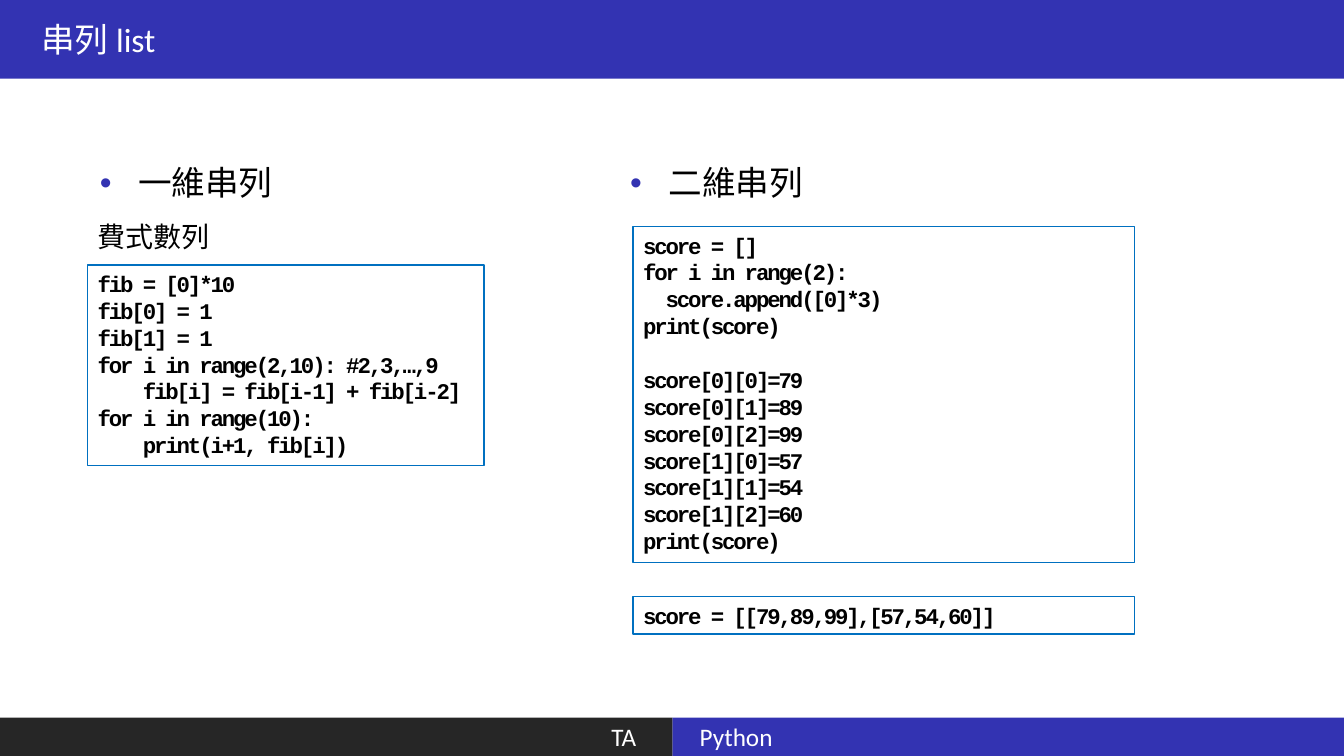
from lxml.etree import SubElement
from pptx import Presentation
from pptx.dml.color import RGBColor
from pptx.enum.shapes import MSO_SHAPE
from pptx.enum.text import MSO_ANCHOR, MSO_AUTO_SIZE, PP_ALIGN
from pptx.oxml.ns import qn
from pptx.util import Inches, Pt

FIBONACCI = """fib = [0]*10
fib[0] = 1
fib[1] = 1
for i in range(2,10): #2,3,…,9
    fib[i] = fib[i-1] + fib[i-2]
for i in range(10):
    print(i+1, fib[i])"""

SCORES = """score = []
for i in range(2):
  score.append([0]*3)
print(score)

score[0][0]=79
score[0][1]=89
score[0][2]=99
score[1][0]=57
score[1][1]=54
score[1][2]=60
print(score)"""

SCORE_RESULT = "score = [[79,89,99],[57,54,60]]"


def color(value):
    return RGBColor.from_string(value)


class LectureSlide:
    BLUE, DARK, BORDER = "3333B2", "262626", "0070C0"
    WHITE, BLACK = "FFFFFF", "000000"
    TEXT_FONT, CODE_FONT = "Calibri", "Courier New"

    def __init__(self, slide):
        self.slide = slide

    def place(self, shape, left, top, width, height):
        shape.left, shape.top = Inches(left), Inches(top)
        shape.width, shape.height = Inches(width), Inches(height)

    def rectangle(self, box, fill):
        shape = self.slide.shapes.add_shape(
            MSO_SHAPE.RECTANGLE, *(Inches(length) for length in box))
        shape.shadow.inherit = False
        shape.fill.solid()
        shape.fill.fore_color.rgb = color(fill)
        shape.line.fill.background()
        return shape

    def styled_run(self, paragraph, text, size, ink, font=TEXT_FONT):
        run = paragraph.add_run()
        run.text = text
        run.font.size = Pt(size)
        run.font.name = font
        run.font.color.rgb = color(ink)
        return run

    def band_text(self, shape, text, size, align, inset):
        frame = shape.text_frame
        frame.auto_size = MSO_AUTO_SIZE.NONE
        frame.word_wrap = True
        frame.vertical_anchor = MSO_ANCHOR.MIDDLE
        frame.margin_left = frame.margin_right = Inches(inset)
        paragraph = frame.paragraphs[0]
        paragraph.alignment = align
        self.styled_run(paragraph, text, size, self.WHITE)

    def title(self, text, box):
        title = self.slide.shapes.title
        self.place(title, *box)
        title.fill.solid()
        title.fill.fore_color.rgb = color(self.BLUE)
        self.band_text(title, text, 24, PP_ALIGN.LEFT, 0.41)

    def footer(self, text, box, fill, align, inset):
        self.band_text(self.rectangle(box, fill), text, 18, align, inset)

    def bullet(self, index, text, box):
        body = self.slide.placeholders[index]
        self.place(body, *box)
        frame = body.text_frame
        frame.auto_size = MSO_AUTO_SIZE.NONE
        frame.margin_left = 0
        paragraph = frame.paragraphs[0]
        properties = paragraph._p.get_or_add_pPr()
        properties.set("marL", str(Inches(0.38)))
        properties.set("indent", str(-Inches(0.38)))
        tint = SubElement(properties, qn("a:buClr"))
        SubElement(tint, qn("a:srgbClr"), val=self.BLUE)
        SubElement(properties, qn("a:buFont"), typeface="Arial")
        SubElement(properties, qn("a:buChar"), char="•")
        paragraph.space_before = Pt(0)
        self.styled_run(paragraph, text, 24, self.BLACK)

    def label(self, text, box):
        label = self.slide.shapes.add_textbox(*(Inches(length) for length in box))
        label.text_frame.word_wrap = True
        self.styled_run(label.text_frame.paragraphs[0], text, 20, self.BLACK)

    def code(self, listing, box):
        panel = self.rectangle(box, self.WHITE)
        panel.line.color.rgb = color(self.BORDER)
        panel.line.width = Pt(1)
        frame = panel.text_frame
        frame.word_wrap = True
        frame.vertical_anchor = MSO_ANCHOR.TOP
        for number, line in enumerate(listing.split("\n")):
            paragraph = frame.add_paragraph() if number else frame.paragraphs[0]
            paragraph.alignment = PP_ALIGN.LEFT
            run = self.styled_run(paragraph, line, 16, self.BLACK, self.CODE_FONT)
            run.font.bold = True
            run.font._element.set("spc", "-150")


def main():
    presentation = Presentation()
    presentation.slide_width = Inches(13.33)
    presentation.slide_height = Inches(7.5)
    two_content = presentation.slide_layouts[3]
    lecture = LectureSlide(presentation.slides.add_slide(two_content))

    lecture.title("串列 list", (0, 0, 13.33, 0.78))
    lecture.footer("Python", (6.67, 7.12, 6.66, 0.38), lecture.BLUE, PP_ALIGN.LEFT, 0.27)
    lecture.footer("TA", (0, 7.12, 6.67, 0.38), lecture.DARK, PP_ALIGN.RIGHT, 0.36)

    lecture.bullet(1, "一維串列", (0.99, 1.56, 2.32, 0.5))
    lecture.label("費式數列", (0.87, 2.13, 4.41, 0.44))
    lecture.code(FIBONACCI, (0.87, 2.63, 3.93, 1.99))

    lecture.bullet(2, "二維串列", (6.25, 1.56, 2.32, 0.5))
    lecture.code(SCORES, (6.28, 2.25, 4.97, 3.33))
    lecture.code(SCORE_RESULT, (6.28, 5.92, 4.97, 0.37))

    presentation.save("out.pptx")


if __name__ == "__main__":
    main()
